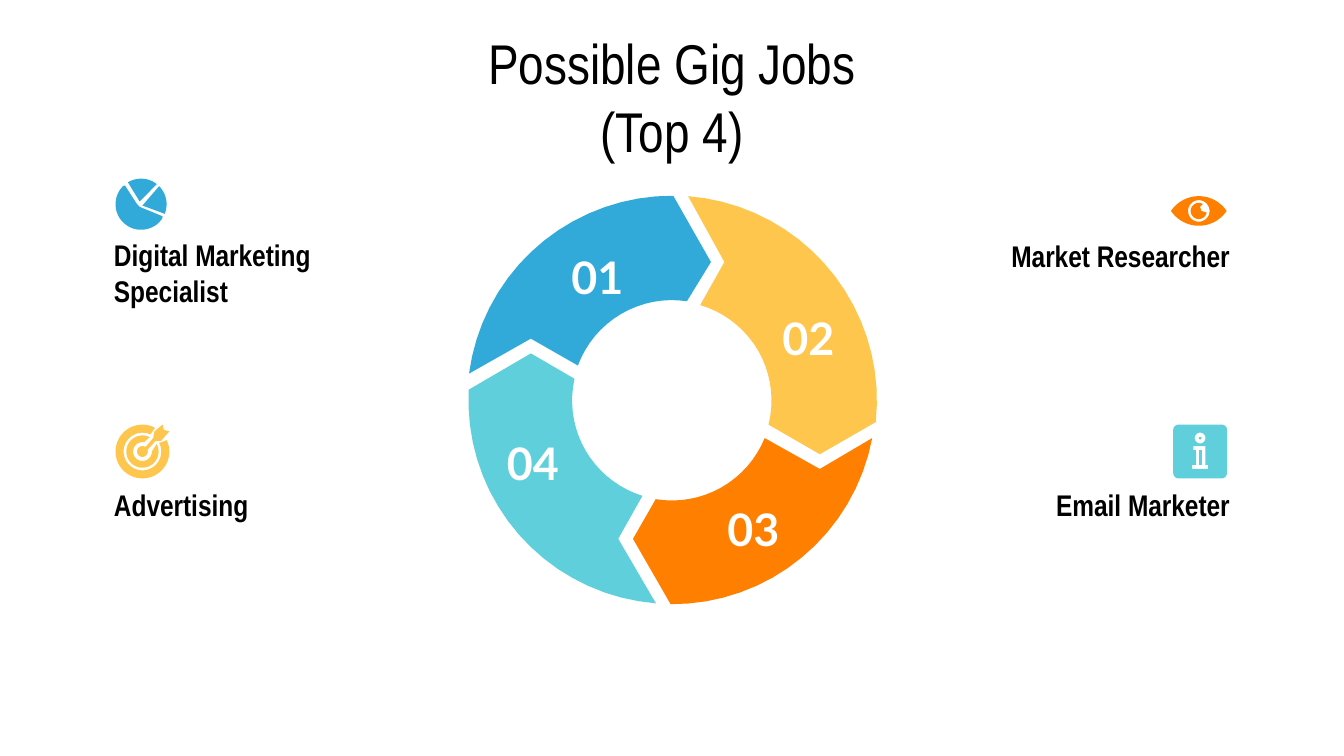
from dataclasses import dataclass
from math import atan2, ceil, cos, degrees, hypot, radians, sin

from pptx import Presentation
from pptx.dml.color import RGBColor as Rgb
from pptx.enum.text import MSO_ANCHOR as Anchor, PP_ALIGN as Align
from pptx.util import Cm, Pt

Point = tuple[float, float]
Path = list[Point]


@dataclass(frozen=True)
class Theme:
    blue: str = "32AAD9"
    gold: str = "FFC64E"
    orange: str = "FF8001"
    teal: str = "5FD0DB"
    black: str = "000000"
    white: str = "FFFFFF"
    font: str = "Arial Narrow"
    digit: str = "Lato"
    title: int = 30
    label: int = 16
    number: int = 24


@dataclass(frozen=True)
class Part:
    """One ring arrow; corners run outer start, notch, inner, inner, tip, outer end."""
    text: str
    color: str
    at: Point
    corners: Path


@dataclass(frozen=True)
class Job:
    text: str
    at: Point
    align: Align


THEME = Theme()
HUB = (5.0, 2.98)

PARTS = [
    Part("02", THEME.gold, (5.68, 2.36),
         [(5.12, 1.46), (5.39, 1.95), (5.21, 2.27), (5.72, 3.16), (6.1, 3.38), (6.51, 3.14)]),
    Part("03", THEME.orange, (5.27, 3.78),
         [(6.49, 3.26), (6.1, 3.49), (5.69, 3.26), (4.88, 3.71), (4.71, 4.01), (4.99, 4.5)]),
    Part("04", THEME.teal, (3.63, 3.29),
         [(4.88, 4.49), (4.6, 4.01), (4.78, 3.69), (4.28, 2.82), (3.95, 2.63), (3.48, 2.9)]),
    Part("01", THEME.blue, (4.11, 1.9),
         [(3.49, 2.78), (3.95, 2.52), (4.3, 2.72), (5.11, 2.25), (5.29, 1.95), (5.01, 1.46)]),
]

JOBS = [
    Job("Digital Marketing Specialist", (0.75, 1.87), Align.LEFT),
    Job("Advertising", (0.75, 3.6), Align.LEFT),
    Job("Market Researcher", (7.11, 1.75), Align.RIGHT),
    Job("Email Marketer", (7.11, 3.6), Align.RIGHT),
]


def size(inch: float) -> Cm:
    return Cm(inch * 2.54)


def arc(mid: Point, r: float, start: float = 0, end: float = 360) -> Path:
    """Points on a circle, in degrees clockwise from the right."""
    n = max(2, ceil(abs(end - start) / 5))
    turns = [radians(start + (end - start) * i / n) for i in range(n + 1)]
    return [(mid[0] + r * cos(t), mid[1] + r * sin(t)) for t in turns]


def sweep(mid: Point, a: Point, b: Point) -> Path:
    """Clockwise arc from a to b."""
    start, end = (degrees(atan2(p[1] - mid[1], p[0] - mid[0])) for p in (a, b))
    return arc(mid, hypot(a[0] - mid[0], a[1] - mid[1]), start, start + (end - start) % 360)


def band(mid: Point, outer: float, inner: float, start: float, end: float,
         first: float, last: float) -> Path:
    """Open ring whose inner edge runs back from last to first."""
    return arc(mid, outer, start, end) + arc(mid, inner, last, first)


def draw(shapes, color: str, *paths: Path) -> None:
    """Fill one outline; further paths cut holes in it."""
    rows = [[(size(x), size(y)) for x, y in path] for path in paths]
    pen = shapes.build_freeform(*rows[0][0])
    for i, row in enumerate(rows):
        if i:
            pen.move_to(*row[0])
        pen.add_line_segments(row[1:], close=True)
    form = pen.convert_to_shape()
    form.shadow.inherit = False
    form.fill.solid()
    form.fill.fore_color.rgb = Rgb.from_string(color)
    form.line.fill.background()


def write(shapes, text: str, at: Point, *, width: float, height: float = 0.31,
          pt: int = THEME.label, font: str = THEME.font, color: str = THEME.black,
          bold: bool = True, align: Align = Align.CENTER) -> None:
    box = shapes.add_textbox(size(at[0]), size(at[1]), size(width), size(height))
    frame = box.text_frame
    frame.word_wrap = True
    frame.vertical_anchor = Anchor.MIDDLE
    frame.margin_left = frame.margin_right = size(0.1)
    frame.margin_top = frame.margin_bottom = size(0.1)
    para = frame.paragraphs[0]
    para.text = text
    para.alignment = align
    for run in para.runs:
        run.font.size, run.font.name, run.font.bold = Pt(pt), font, bold
        run.font.color.rgb = Rgb.from_string(color)


def target(shapes) -> None:
    mid = (1.06, 3.36)
    dart = [(1.08, 3.33), (1.14, 3.26), (1.15, 3.21), (1.21, 3.16), (1.22, 3.2),
            (1.26, 3.21), (1.2, 3.28), (1.16, 3.28)]
    draw(shapes, THEME.gold, dart + arc(mid, 0.04, -18, 304))
    draw(shapes, THEME.gold, band(mid, 0.12, 0.07, -28, 296, 0, 280))
    draw(shapes, THEME.gold, band(mid, 0.2, 0.14, -25, 298, -27, 295))


def eye(shapes) -> None:
    mid = (8.92, 1.57)
    lid = arc((8.92, 1.71), 0.25, -146, -34) + arc((8.92, 1.43), 0.25, 34, 146)
    glint = [(8.93, 1.54), (8.94, 1.57), (8.97, 1.58)]
    draw(shapes, THEME.orange, lid, arc(mid, 0.08))
    draw(shapes, THEME.orange, arc(mid, 0.06, 10, 300) + glint)


def info(shapes) -> None:
    dot = (8.93, 3.26)
    spots = [(9.09, 3.52), (8.77, 3.52), (8.77, 3.2), (9.09, 3.2)]
    tile = [p for i, spot in enumerate(spots) for p in arc(spot, 0.04, 90 * i, 90 * i + 90)]
    stem = [(8.88, 3.32), (8.97, 3.32), (8.97, 3.46), (8.99, 3.46), (8.99, 3.49),
            (8.87, 3.49), (8.87, 3.46), (8.9, 3.46), (8.9, 3.35), (8.88, 3.35)]
    draw(shapes, THEME.teal, arc(dot, 0.01))
    draw(shapes, THEME.teal, [(8.92, 3.35), (8.92, 3.46), (8.94, 3.46), (8.94, 3.35)])
    draw(shapes, THEME.teal, tile, arc(dot, 0.04), stem)


def pie(shapes) -> None:
    mid, r = (1.05, 1.52), 0.19
    hinge = [(0.93, 1.38), (1.02, 1.52), (1.04, 1.54), (1.21, 1.61)]
    draw(shapes, THEME.blue, arc(mid, r, 34, 225) + hinge)
    draw(shapes, THEME.blue, arc(mid, r, 239, 308) + [(1.04, 1.5)])
    draw(shapes, THEME.blue, arc(mid, r, -45, 22) + [(1.06, 1.53)])


def main() -> None:
    deck = Presentation()
    deck.slide_width = size(10)
    deck.slide_height = deck.slide_width * 9 // 16
    shapes = deck.slides.add_slide(deck.slide_layouts[6]).shapes

    # Title
    write(shapes, "Possible Gig Jobs\v(Top 4)", (0.5, 0.45), width=9, height=0.53,
          pt=THEME.title, bold=False)

    # Ring of arrows
    for part in PARTS:
        start, notch, near, far, tip, end = part.corners
        inner = sweep(HUB, near, far)
        outer = sweep(HUB, start, end)
        draw(shapes, part.color, [notch] + inner + [tip] + outer[::-1])

    # Numbers on the ring
    for part in PARTS:
        write(shapes, part.text, part.at, width=0.67, pt=THEME.number,
              font=THEME.digit, color=THEME.white)

    # Job names
    for job in JOBS:
        write(shapes, job.text, job.at, width=2.14, align=job.align)

    # Icons
    for icon in (target, eye, info, pie):
        icon(shapes.add_group_shape().shapes)

    deck.save("out.pptx")


if __name__ == "__main__":
    main()
